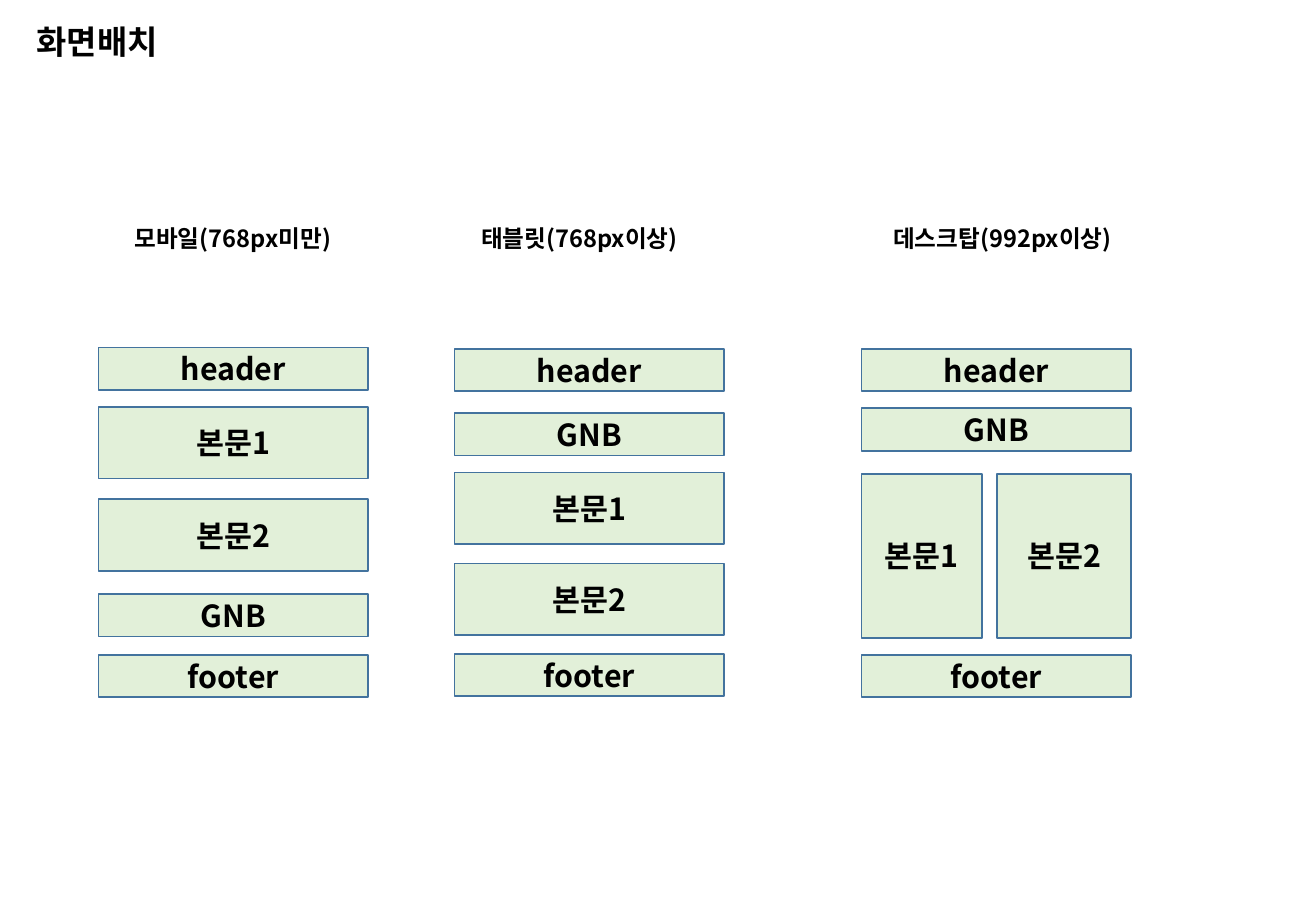
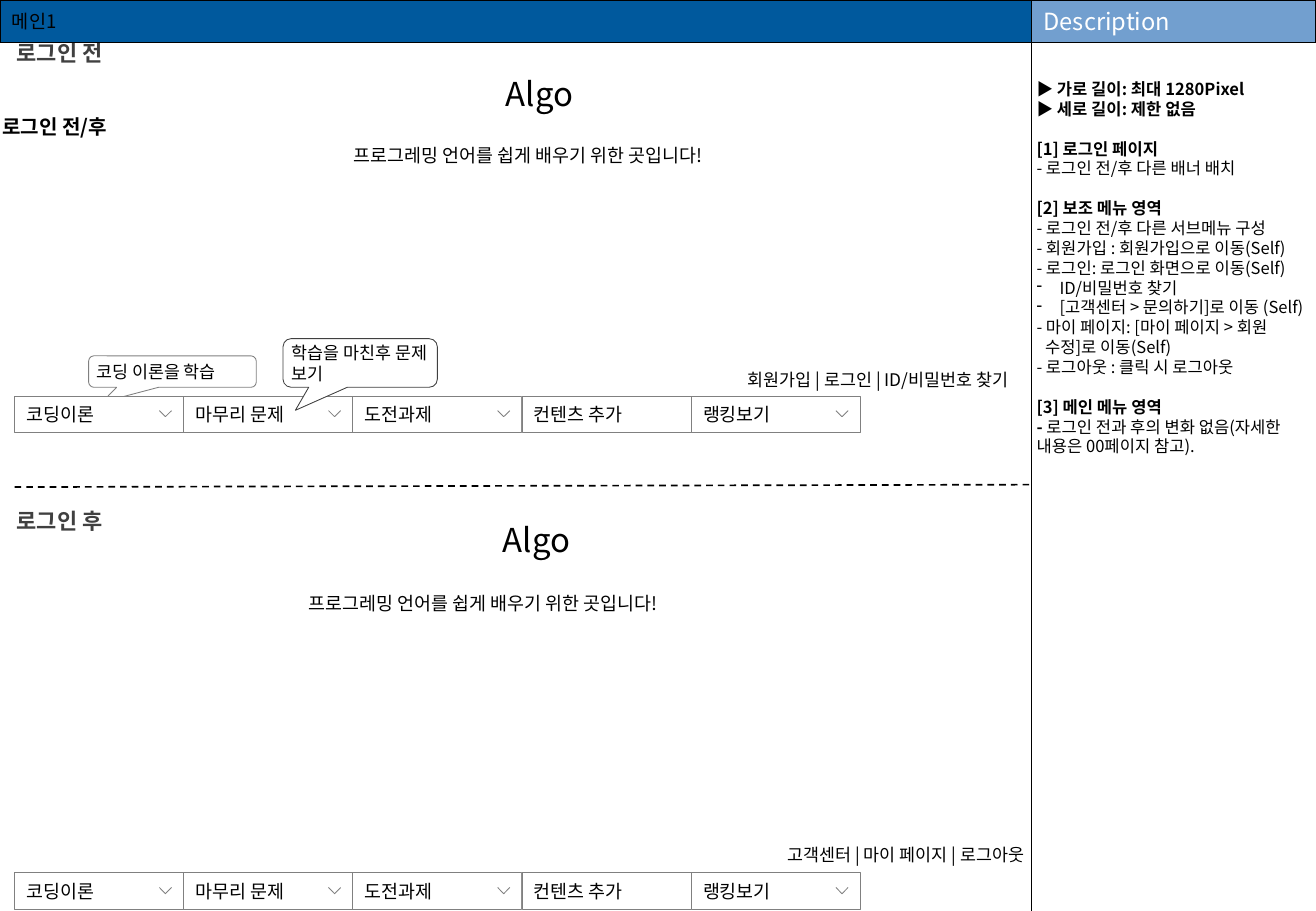
from dataclasses import dataclass

from pptx import Presentation, util as u
from pptx.dml.color import RGBColor
from pptx.enum import dml, shapes, text
from pptx.oxml.ns import qn
from lxml import etree

LEFT, CENTER, RIGHT = text.PP_ALIGN.LEFT, text.PP_ALIGN.CENTER, text.PP_ALIGN.RIGHT
TOP, MIDDLE = text.MSO_ANCHOR.TOP, text.MSO_ANCHOR.MIDDLE


class Theme:
    title_font, font = "Arial", "Noto Sans CJK KR"
    black, white, dark, gray = "000000", "FFFFFF", "404040", "808080"
    block, block_line = "E2F0D9", "43739E"
    band, side_band = "00599D", "729FCF"
    title, block_size, caption, band_size = 19.5, 18, 14, 11
    state, heading, menu, small, note = 13, 11.9, 10.9, 10.3, 9.8
    inset = (0.1, 0.05, 0.1, 0.05)


@dataclass
class Box:
    """A region in inches; cut() takes a smaller region from it in percent."""
    x: float
    y: float
    w: float
    h: float

    def cut(self, x, y, w, h):
        return Box(self.x + self.w * x / 100, self.y + self.h * y / 100,
                   self.w * w / 100, self.h * h / 100)

    def emu(self):
        return [u.Inches(v) for v in (self.x, self.y, self.w, self.h)]


PAGE = Box(0, 0, 10.83, 7.5)


def rgb(code):
    return RGBColor.from_string(code)


# Shared drawing helpers
def style_run(run, size, color, bold, font):
    run.font.size, run.font.bold, run.font.name = u.Pt(size), bold, font
    run.font.color.rgb = rgb(color)
    east_asian = etree.SubElement(run.font._element, qn("a:ea"))
    east_asian.set("typeface", Theme.font)


def write(shape, words, size, color=Theme.black, bold=False, align=LEFT,
          anchor=MIDDLE, wrap=True, inset=Theme.inset, font=Theme.font, spacing=None):
    frame = shape.text_frame
    frame.text = words
    frame.word_wrap, frame.vertical_anchor = wrap, anchor
    set_inset(frame, inset)
    for line in frame.paragraphs:
        line.alignment = align
        if spacing:
            line.line_spacing = spacing
        for run in line.runs:
            style_run(run, size, color, bold, font)


def set_inset(frame, inset):
    (frame.margin_left, frame.margin_top,
     frame.margin_right, frame.margin_bottom) = map(u.Inches, inset)


def label(slide, box, words, size, **look):
    write(slide.shapes.add_textbox(*box.emu()), words, size, **look)


def paint(shape, fill, line, width):
    shape.shadow.inherit = False
    shape.fill.solid()
    shape.fill.fore_color.rgb = rgb(fill)
    shape.line.color.rgb = rgb(line)
    shape.line.width = u.Pt(width)


def panel(slide, box, words, size, fill, line, width,
          kind=shapes.MSO_SHAPE.RECTANGLE, **look):
    shape = slide.shapes.add_shape(kind, *box.emu())
    paint(shape, fill, line, width)
    write(shape, words, size, **look)
    return shape


def rule(slide, x1, y1, x2, y2, width, dash=None):
    line = slide.shapes.add_connector(
        shapes.MSO_CONNECTOR.STRAIGHT, *map(u.Inches, (x1, y1, x2, y2)))
    line.line.color.rgb, line.line.width = rgb(Theme.black), u.Pt(width)
    if dash:
        line.line.dash_style = dash
    etree.SubElement(line._element.spPr, qn("a:effectLst"))


# Slide 1: screen layout by device
def device_column(slide, box, caption, caption_span, blocks):
    x, w = caption_span
    label(slide, box.cut(x, -38.2, w, 13.9), caption, Theme.caption,
          bold=True, align=CENTER)
    for words, *place in blocks:
        panel(slide, box.cut(*place), words, Theme.block_size, Theme.block,
              Theme.block_line, 1, bold=True, align=CENTER)


def layout_slide(slide):
    label(slide, PAGE.cut(2.77, 0, 65.47, 9.07), "화면배치", Theme.title,
          bold=True, inset=(0, 0, 0, 0), font=Theme.title_font)

    bar, body = 12.15, 20.5  # row heights in percent of a column

    def row(words, y, h=bar):
        return words, 0, y, 100, h

    devices = [
        (7.48, "모바일(768px미만)", (3.2, 93.2),
         [row("header", 0), row("본문1", 17, body), row("본문2", 43.4, body),
          row("GNB", 70.5), row("footer", 87.85)]),
        (34.53, "태블릿(768px이상)", (4, 84.7),
         [row("header", 0.4), row("GNB", 18.75), row("본문1", 35.8, body),
          row("본문2", 61.8, body), row("footer", 87.6)]),
        (65.47, "데스크탑(992px이상)", (4, 96.4),
         [row("header", 0.4), row("GNB", 17.4), ("본문1", 0, 36.1, 44.6, 46.9),
          ("본문2", 50.2, 36.1, 49.8, 46.9), row("footer", 87.85)]),
    ]
    for x, *device in devices:
        device_column(slide, PAGE.cut(x, 38.13, 20.5, 38.4), *device)


# Slide 2: main page wireframe
MENU = ["코딩이론", "마무리 문제", "도전과제", "컨텐츠 추가", "랭킹보기"]
WITHOUT_ARROW = "컨텐츠 추가"


def chevron(slide, box):
    left, top, width, height = box.emu()
    builder = slide.shapes.build_freeform(left, top)
    builder.add_line_segments(
        [(left + width // 2, top + height), (left + width, top)], close=False)
    paint(builder.convert_to_shape(), Theme.white, Theme.gray, 0.5)


def menu_bar(slide, box):
    cell_width = 100 / len(MENU)
    for i, item in enumerate(MENU):
        cell = box.cut(i * cell_width, 0, cell_width, 100)
        panel(slide, cell, item, Theme.menu, Theme.white, Theme.gray, 0.5)
        if item != WITHOUT_ARROW:
            chevron(slide, cell.cut(85.6, 40, 7.2, 16.7))


def callout(slide, box, words, line):
    bubble = panel(slide, box, words, Theme.small, Theme.white, line, 0.5,
                   kind=shapes.MSO_SHAPE.ROUNDED_RECTANGULAR_CALLOUT,
                   inset=(0.05,) * 4)
    for i, value in enumerate((-0.42, 0.975, 0.167)):
        bubble.adjustments[i] = value


def login_state(slide, box, state, name_place, slogan_x, links, links_right):
    name_x, name_y = name_place
    label(slide, box.cut(0, 0, 11.54, 9.4), state, Theme.state, color=Theme.dark,
          bold=True, align=CENTER, anchor=TOP, wrap=False)
    label(slide, box.cut(name_x - 12, name_y, 24, 12.7), "Algo", Theme.title,
          align=CENTER, anchor=TOP)
    label(slide, box.cut(slogan_x, name_y + 17.6, 42, 8.5),
          "프로그레밍 언어를 쉽게 배우기 위한 곳입니다!", Theme.menu,
          anchor=TOP, wrap=False)
    label(slide, box.cut(links_right - 50, 80, 50, 8.2), links, Theme.small,
          align=RIGHT, anchor=TOP, spacing=1.5)
    menu_bar(slide, box.cut(1.41, 90.9, 81.98, 9.1))


# Each group: paragraphs of (bold words, plain words, left indent, bullet)
DESCRIPTION = [
    [("▶ 가로 길이: 최대 1280Pixel", "", 0, False),
     ("▶ 세로 길이: 제한 없음", "", 0, False)],
    [("[1] 로그인 페이지", "", 0, False),
     ("", "- 로그인 전/후 다른 배너 배치", 0, False)],
    [("[2] 보조 메뉴 영역", "", 0, False),
     ("", "- 로그인 전/후 다른 서브메뉴 구성", 0, False),
     ("", "- 회원가입 : 회원가입으로 이동(Self)", 0, False),
     ("", "- 로그인: 로그인 화면으로 이동(Self)", 0, False),
     ("", "ID/비밀번호 찾기", 0.19, True),
     ("", "[고객센터 > 문의하기]로 이동 (Self)", 0.19, True),
     ("", "- 마이 페이지: [마이 페이지 > 회원", 0, False),
     ("", "수정]로 이동(Self)", 0.07, False),
     ("", "- 로그아웃 : 클릭 시 로그아웃", 0, False)],
    [("[3] 메인 메뉴 영역", "", 0, False),
     ("- ", "로그인 전과 후의 변화 없음(자세한 내용은 00페이지 참고).", 0, False)],
]


def description(slide, box):
    frame = slide.shapes.add_textbox(*box.emu()).text_frame
    frame.word_wrap = True
    set_inset(frame, (0.04, 0.3, 0.04, 0))
    line = frame.paragraphs[0]
    for g, group in enumerate(DESCRIPTION):
        for i, (strong, plain, indent, bullet) in enumerate(group):
            if g or i:
                line = frame.add_paragraph()
            if g and not i:
                line.space_before = u.Pt(11.8)
            for words, bold in ((strong, True), (plain, False)):
                if words:
                    run = line.add_run()
                    run.text = words
                    style_run(run, Theme.note, Theme.black, bold, Theme.font)
            if indent:
                props = line._p.get_or_add_pPr()
                props.set("marL", str(u.Inches(indent)))
                if bullet:
                    props.set("indent", str(-u.Inches(indent)))
                    etree.SubElement(props, qn("a:buChar")).set("char", "-")


def wireframe_slide(slide):
    main_area, side = PAGE.cut(0, 0, 78.39, 100), PAGE.cut(78.39, 0, 21.61, 100)
    band = 4.67  # height of the top bands, percent

    label(slide, main_area.cut(0, 11.6, 96, 4.53), "로그인 전/후", Theme.heading,
          bold=True, inset=(0.02, 0.05, 0.1, 0.05))
    description(slide, side.cut(0, band, 100, 95.2))

    # Before and after login
    before = main_area.cut(0, 3.73, 100, 43.73)
    callout(slide, before.cut(8.6, 80.8, 16.25, 7.9), "코딩 이론을 학습", Theme.gray)
    login_state(slide, before, "로그인 전", (52.3, 8.5), 33.1,
                "회원가입 | 로그인 | ID/비밀번호 찾기 ", 99.3)
    callout(slide, before.cut(27.44, 76.5, 14.96, 12.2),
            "학습을 마친후 문제 보기", Theme.dark)
    login_state(slide, main_area.cut(0, 55.07, 100, 44.8), "로그인 후", (52, 3), 28.74,
                "고객센터 | 마이 페이지 | 로그아웃", 100.47)
    rule(slide, 0.12, 4.01, main_area.w, 3.99, 1, dml.MSO_LINE.DASH)

    # Top bands and divider
    panel(slide, main_area.cut(0, 0, 100, band), "메인1", Theme.band_size, Theme.band,
          Theme.black, 0.75, wrap=False)
    rule(slide, side.x, 0, side.x, PAGE.h, 0.75)
    panel(slide, side.cut(0, 0, 100, band), "Description", Theme.caption,
          Theme.side_band, Theme.black, 0.75, color=Theme.white)


def main():
    deck = Presentation()
    deck.slide_width, deck.slide_height = u.Inches(PAGE.w), u.Inches(PAGE.h)
    for build in (layout_slide, wireframe_slide):
        build(deck.slides.add_slide(deck.slide_layouts[6]))
    deck.save("out.pptx")


if __name__ == "__main__":
    main()
